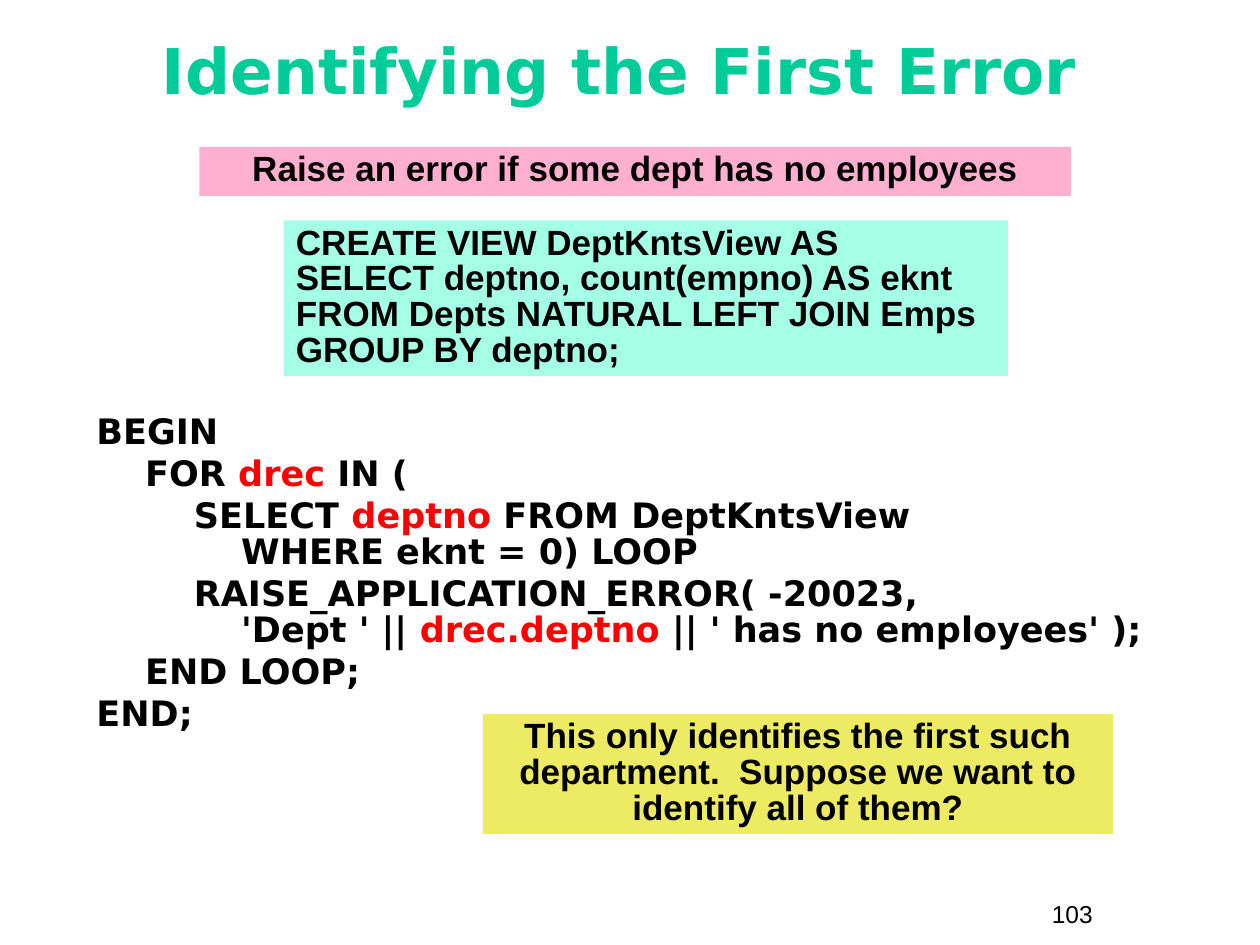
"""Builds the slide on raising an error for the first department without employees."""
from dataclasses import dataclass

from pptx import Presentation
from pptx.dml.color import RGBColor
from pptx.enum.shapes import MSO_SHAPE
from pptx.enum.text import MSO_ANCHOR, MSO_AUTO_SIZE, PP_ALIGN
from pptx.util import Pt

RECTANGLE = MSO_SHAPE.RECTANGLE
TOP, MIDDLE = MSO_ANCHOR.TOP, MSO_ANCHOR.MIDDLE
LEFT, CENTER = PP_ALIGN.LEFT, PP_ALIGN.CENTER
NO_AUTOFIT = MSO_AUTO_SIZE.NONE
TITLE_ONLY = 5


@dataclass(frozen=True)
class Theme:
    """Colours, fonts and type sizes of the slide."""
    ink: str = "000000"
    accent: str = "FF0000"
    heading: str = "00CC99"
    pink: str = "FFAFCF"
    mint: str = "A5FFE7"
    yellow: str = "EDEA63"
    code_font: str = "DejaVu Sans"
    text_font: str = "Arial"
    title_size: float = 36
    body_size: float = 20
    number_size: float = 14
    tight: float = 0.85


def write_text(frame, text, *, font, size, color, accent=None, bold=True,
               align=LEFT, anchor=TOP, spacing=None, gap=0, hanging=0):
    """Write paragraphs parted by a blank line; backticks enclose accented words."""
    frame.word_wrap = True
    frame.auto_size = NO_AUTOFIT
    frame.vertical_anchor = anchor
    frame.margin_left = frame.margin_right = Pt(7.2)
    frame.margin_top = frame.margin_bottom = Pt(3.6)
    for index, content in enumerate(text.split("\n\n")):
        paragraph = frame.add_paragraph() if index else frame.paragraphs[0]
        paragraph.alignment = align
        paragraph.space_before = Pt(gap if index else 0)
        if spacing:
            paragraph.line_spacing = spacing
        if hanging:
            properties = paragraph._p.get_or_add_pPr()
            properties.set("marL", str(Pt(hanging)))
            properties.set("indent", str(-Pt(hanging)))
        for part, words in enumerate(content.split("`")):
            for row, line in enumerate(words.split("\n")):
                if row:
                    paragraph.add_line_break()
                run = paragraph.add_run()
                run.text = line
                run.font.name = font
                run.font.size = Pt(size)
                run.font.bold = bold
                run.font.color.rgb = RGBColor.from_string(accent if part % 2 else color)


class SlideBuilder:
    """Holds the theme and the current slide."""

    def __init__(self, slide, theme):
        self.slide = slide
        self.theme = theme

    def title(self, text, left, top, width, height):
        """Place and format the title placeholder."""
        heading = self.slide.shapes.title
        heading.left, heading.top = Pt(left), Pt(top)
        heading.width, heading.height = Pt(width), Pt(height)
        write_text(heading.text_frame, text, font=self.theme.code_font,
                   size=self.theme.title_size, color=self.theme.heading,
                   align=CENTER, anchor=MIDDLE)

    def text_box(self, text, left, top, width, height, **style):
        """Add unfilled text."""
        box = self.slide.shapes.add_textbox(Pt(left), Pt(top), Pt(width), Pt(height))
        write_text(box.text_frame, text, color=self.theme.ink, **style)

    def page_number(self, text, *bounds):
        """Add the page number."""
        self.text_box(text, *bounds, font=self.theme.text_font,
                      size=self.theme.number_size, bold=False)

    def code(self, text, *bounds):
        """Add a code listing with accented identifiers."""
        self.text_box(text, *bounds, font=self.theme.code_font,
                      size=self.theme.body_size, accent=self.theme.accent,
                      spacing=self.theme.tight, gap=3.7, hanging=27)

    def panel(self, text, left, top, width, height, fill, align=CENTER):
        """Add a filled rectangle with bold text."""
        panel = self.slide.shapes.add_shape(
            RECTANGLE, Pt(left), Pt(top), Pt(width), Pt(height))
        panel.shadow.inherit = False
        panel.fill.solid()
        panel.fill.fore_color.rgb = RGBColor.from_string(fill)
        panel.line.fill.background()
        write_text(panel.text_frame, text, font=self.theme.text_font,
                   size=self.theme.body_size, color=self.theme.ink,
                   align=align, spacing=self.theme.tight)


PROCEDURE = """BEGIN

    FOR `drec` IN (

        SELECT `deptno` FROM DeptKntsView
        WHERE eknt = 0) LOOP

        RAISE_APPLICATION_ERROR( -20023,
        'Dept ' || `drec.deptno` || ' has no employees' );

    END LOOP;

END;"""

VIEW = """CREATE VIEW DeptKntsView AS
SELECT deptno, count(empno) AS eknt
FROM Depts NATURAL LEFT JOIN Emps
GROUP BY deptno;"""


def main():
    """Build and save the slide."""
    deck = Presentation()
    deck.slide_width, deck.slide_height = Pt(720), Pt(540)
    theme = Theme()
    builder = SlideBuilder(deck.slides.add_slide(deck.slide_layouts[TITLE_ONLY]), theme)
    builder.page_number("103", 594, 510, 66, 24.4)
    builder.title("Identifying the First Error ", 24, 6.5, 672, 66)
    builder.code(PROCEDURE, 48, 234, 636, 195)
    builder.panel("Raise an error if some dept has no employees",
                  114, 84, 498, 28, theme.pink)
    builder.panel(VIEW, 162, 126, 414, 89, theme.mint, align=LEFT)
    builder.panel("This only identifies the first such department.  "
                  "Suppose we want to identify all of them?",
                  276, 408, 360, 68.5, theme.yellow)
    deck.save("out.pptx")


if __name__ == "__main__":
    main()
